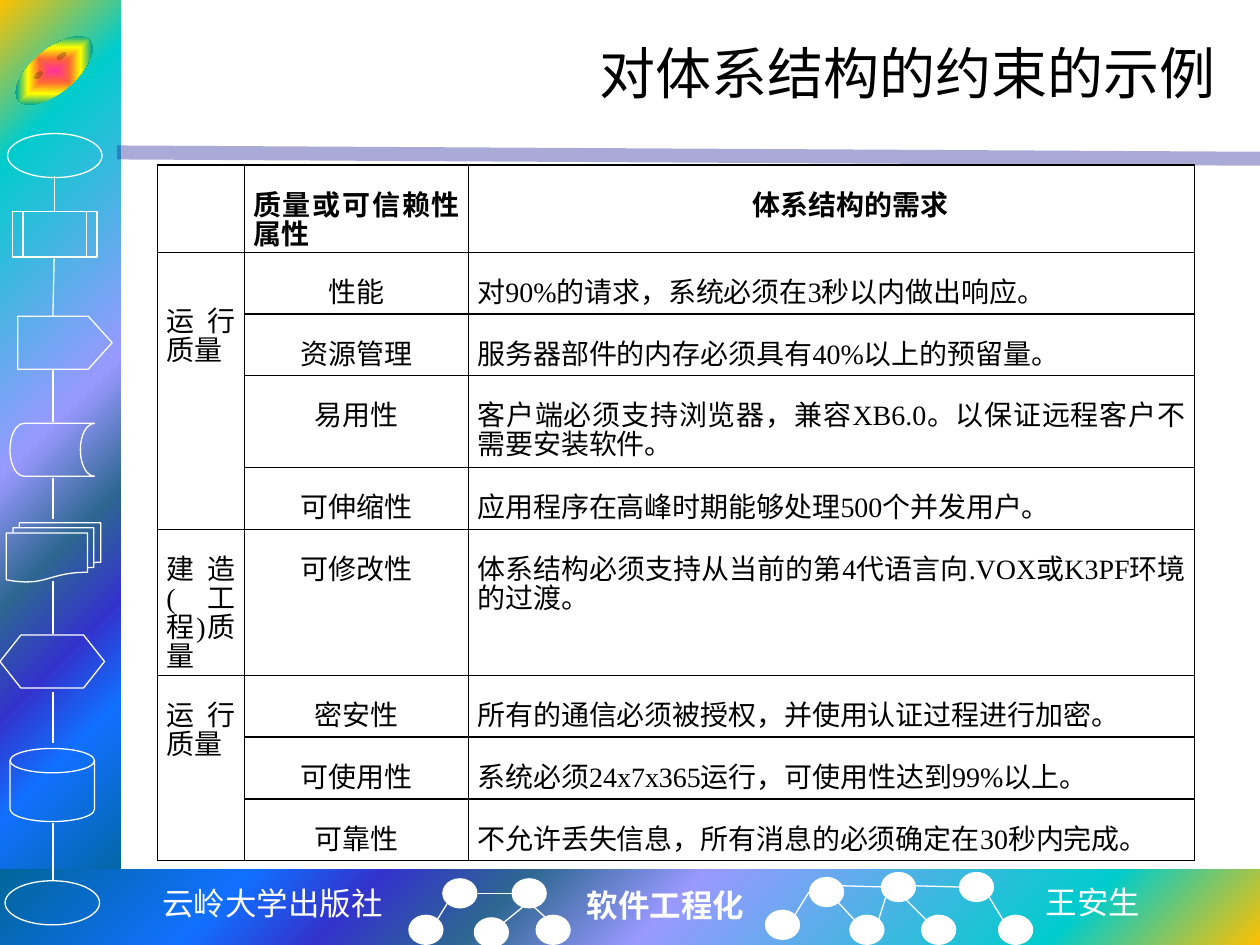
from dataclasses import dataclass
from typing import NamedTuple

from lxml import etree
from pptx import Presentation
from pptx import util as u
from pptx.dml.color import RGBColor
from pptx.enum import shapes, text
from pptx.oxml import parse_xml
from pptx.oxml.ns import nsdecls, qn

KIND = shapes.MSO_SHAPE
ALIGN = text.PP_ALIGN


@dataclass(frozen=True)
class Theme:
    ink: str = "000000"
    white: str = "FFFFFF"
    rule: str = "262699"
    band: tuple = ((0, "FFC000"), (16, "00CCCC"), (47, "9999FF"), (60, "2E6792"),
                   (71, "3333CC"), (81, "1170FF"), (100, "006699"))
    badge: tuple = ((0, "FF3399"), (25, "FF6633"), (50, "FFFF00"),
                    (75, "01A78F"), (100, "3366FF"))
    serif: str = "Times New Roman"
    mono: str = "Courier New"
    sans: str = "Noto Sans CJK SC"
    title_pt: int = 32
    footer_pt: int = 18
    table_pt: int = 16
    leading_pt: float = 16.6
    thin_pt: float = 0.75
    rule_pt: int = 8


class Box(NamedTuple):
    """Columns and rows of a 100 x 75 grid over the slide."""
    x: float
    y: float
    w: float
    h: float


class Link(NamedTuple):
    x1: float
    y1: float
    x2: float
    y2: float


class Label(NamedTuple):
    text: str
    box: Box
    font: str
    bold: bool = False


class Row(NamedTuple):
    group: str
    span: int
    attribute: str
    need: str
    height: float


T = Theme()
COLS, ROWS = 100, 75
prs = Presentation()
prs.slide_width, prs.slide_height = u.Inches(10), u.Inches(7.5)
UNIT_X, UNIT_Y = prs.slide_width / COLS, prs.slide_height / ROWS

FLOW_SHAPES = [
    (KIND.OVAL, Box(0.6, 10.6, 7.5, 3.5)),
    (KIND.FLOWCHART_PREDEFINED_PROCESS, Box(1, 16.8, 6.7, 3.6)),
    (KIND.PENTAGON, Box(1.4, 25.1, 7.5, 4.2)),
    (KIND.FLOWCHART_STORED_DATA, Box(0.8, 33.6, 6.7, 4.2)),
    (KIND.FLOWCHART_MULTIDOCUMENT, Box(0.5, 41.5, 7.5, 4.7)),
    (KIND.FLOWCHART_PREPARATION, Box(0, 50.4, 8.3, 4.2)),
    (KIND.FLOWCHART_MAGNETIC_DISK, Box(0.8, 59.4, 6.7, 5.8)),
    (KIND.OVAL, Box(0.4, 69.9, 7.5, 3.5)),
]
FLOW_LINKS = [
    Link(4.3, 14, 4.3, 16.8), Link(4.3, 20.5, 4.2, 25.1),
    *(Link(4.2, top, 4.2, end) for top, end in
      ((29.3, 33.5), (37.9, 41.2), (46.1, 50.3), (54.9, 59), (65.3, 69.9))),
]
NODES = [(35.1, 69.7), (40.6, 69.7), (32.4, 72.6), (37.6, 72.8), (42.5, 72.6),
         (60.7, 72.2), (64.2, 69.6), (69.9, 69.2), (76.1, 69.2),
         (67.4, 72.6), (73.1, 72.6), (79.2, 72.6)]
NODE_LINKS = [
    Link(34.7, 73, 35.5, 71.7), Link(40, 73.2, 41.6, 71.9),
    Link(40.6, 70.9, 37.9, 70.9), Link(43.4, 72.9, 42.4, 72),
    Link(67.8, 73, 66.5, 71.6), Link(73.5, 73, 71.5, 71),
    Link(79.6, 73, 78.5, 71.2), Link(69.7, 73.1, 70.3, 71.2),
    Link(72.6, 70.3, 76.1, 70.4), Link(63.1, 72.6, 64.2, 70.8),
    Link(66.8, 70.3, 70.3, 70.4),
]
LABELS = [
    Label("云岭大学出版社", Box(11.9, 69.7, 19.7, 4), T.mono),
    Label("软件工程化", Box(45.6, 69.8, 14.6, 4), T.serif, True),
    Label("王安生", Box(82, 69.6, 9.6, 4), T.sans),
]
TABLE_COLS = (6.9, 17.8, 57.6)
HEADER = Row("", 1, "质量或可信赖性属性", "体系结构的需求", 6.9)
BODY = [
    Row("运行质量", 4, "性能", "对90%的请求，系统必须在3秒以内做出响应。", 4.9),
    Row("", 0, "资源管理", "服务器部件的内存必须具有40%以上的预留量。", 4.9),
    Row("", 0, "易用性", "客户端必须支持浏览器，兼容XB6.0。以保证远程客户不需要安装软件。", 7.3),
    Row("", 0, "可伸缩性", "应用程序在高峰时期能够处理500个并发用户。", 4.9),
    Row("建造(工程)质量", 1, "可修改性", "体系结构必须支持从当前的第4代语言向.VOX或K3PF环境的过渡。", 11.6),
    Row("运行质量", 3, "密安性", "所有的通信必须被授权，并使用认证过程进行加密。", 4.9),
    Row("", 0, "可使用性", "系统必须24x7x365运行，可使用性达到99%以上。", 4.9),
    Row("", 0, "可靠性", "不允许丢失信息，所有消息的必须确定在30秒内完成。", 4.9),
]


def place(box: Box) -> tuple:
    return tuple(u.Emu(round(v)) for v in (box.x * UNIT_X, box.y * UNIT_Y,
                                           box.w * UNIT_X, box.h * UNIT_Y))


def style_text(p, font: str, size: float, color: str, bold: bool = False) -> None:
    for r in p.runs:
        f = r.font
        f.name, f.size, f.bold = font, u.Pt(size), bold
        f.color.rgb = RGBColor.from_string(color)
        etree.SubElement(r._r.get_or_add_rPr(), qn("a:ea")).set("typeface", T.sans)


def add_shape(s, kind, box: Box, fill: str = "", line: str = ""):
    sp = s.shapes.add_shape(kind, *place(box))
    sp.shadow.inherit = False
    for color, target in ((fill, sp.fill), (line, sp.line.fill)):
        if color:
            target.solid()
            target.fore_color.rgb = RGBColor.from_string(color)
        else:
            target.background()
    if line:
        sp.line.width = u.Pt(T.thin_pt)
    return sp


def set_gradient(sp, stops: tuple, path: str, focus: tuple) -> None:
    """Path gradient; focus is left, top, right, bottom in percent."""
    gs = "".join(f'<a:gs pos="{pos * 1000}"><a:srgbClr val="{c}"/></a:gs>' for pos, c in stops)
    rect = " ".join(f'{side}="{v * 1000}"' for side, v in zip("ltrb", focus))
    grad = parse_xml(f'<a:gradFill {nsdecls("a")} rotWithShape="1"><a:gsLst>{gs}</a:gsLst>'
                     f'<a:path path="{path}"><a:fillToRect {rect}/></a:path></a:gradFill>')
    props = sp._element.spPr
    props.replace(props.find(qn("a:noFill")), grad)


def add_link(s, link: Link, color: str = T.white, width: float = T.thin_pt):
    x1, y1, x2, y2 = place(Box(*link))
    cx = s.shapes.add_connector(shapes.MSO_CONNECTOR.STRAIGHT, x1, y1, x2, y2)
    cx.line.width = u.Pt(width)
    cx.line.color.rgb = RGBColor.from_string(color)
    etree.SubElement(cx._element.spPr, qn("a:effectLst"))
    return cx


def add_label(s, label: Label) -> None:
    tf = s.shapes.add_textbox(*place(label.box)).text_frame
    tf.word_wrap, tf.auto_size = False, text.MSO_AUTO_SIZE.SHAPE_TO_FIT_TEXT
    tf.text = label.text
    style_text(tf.paragraphs[0], label.font, T.footer_pt, T.white, label.bold)


def fill_cell(cell, words: str, align, bold: bool, lead: int, indent: float) -> None:
    """Write a cell, lead lines below its top edge, with all four borders."""
    cell.fill.background()
    cell.margin_left, cell.margin_right = u.Inches(0.07 + indent), u.Inches(0.07)
    cell.margin_top, cell.margin_bottom = u.Pt(lead * T.leading_pt), 0
    p = cell.text_frame.paragraphs[0]
    p.text, p.alignment, p.line_spacing = words, align, u.Pt(T.leading_pt)
    style_text(p, T.serif, T.table_pt, T.ink, bold)
    for i, side in enumerate("LRTB"):
        cell._tc.get_or_add_tcPr().insert(i, parse_xml(
            f'<a:ln{side} {nsdecls("a")} w="12700"><a:solidFill>'
            f'<a:srgbClr val="{T.ink}"/></a:solidFill></a:ln{side}>'))


def add_needs_table(s, x: float, y: float) -> None:
    rows = [HEADER, *BODY]
    box = Box(x, y, sum(TABLE_COLS), sum(r.height for r in rows))
    table = s.shapes.add_table(len(rows), len(TABLE_COLS), *place(box)).table
    for col, w in zip(table.columns, TABLE_COLS):
        col.width = u.Emu(round(w * UNIT_X))
    for i, row in enumerate(rows):
        head = row is HEADER
        table.rows[i].height = u.Emu(round(row.height * UNIT_Y))
        aligns = (ALIGN.JUSTIFY, *((ALIGN.JUSTIFY, ALIGN.CENTER) if head
                                   else (ALIGN.CENTER, ALIGN.JUSTIFY)))
        for j, words in enumerate((row.group, row.attribute, row.need)):
            lead = 2 if j == 0 and i == 1 else 1
            fill_cell(table.cell(i, j), words, aligns[j], head, lead,
                      0.3 if head and j == 2 else 0)
        if row.span > 1:
            table.cell(i, 0).merge(table.cell(i + row.span - 1, 0))


def add_frame(s) -> None:
    for box, focus in ((Box(0, 0, 9.6, 70.9), (0, 0, 100, 100)),
                       (Box(0, 69, COLS, 6), (100, 100, 0, 0))):
        set_gradient(add_shape(s, KIND.RECTANGLE, box), T.band, "circle", focus)
    rule = add_link(s, Link(9.3, 12.1, COLS, 12.6), T.rule, T.rule_pt)
    color = rule._element.spPr.find(".//" + qn("a:srgbClr"))
    etree.SubElement(color, qn("a:alpha")).set("val", "39000")
    badge = add_shape(s, KIND.SMILEY_FACE, Box(0.6, 3.9, 7.4, 3.4))
    badge.adjustments[0], badge.rotation = 0.05, -40
    set_gradient(badge, T.badge, "shape", (50, 50, 50, 50))


def main() -> None:
    s = prs.slides.add_slide(prs.slide_layouts[5])
    add_frame(s)
    for kind, box in FLOW_SHAPES:
        sp = add_shape(s, kind, box, line=T.white)
        if kind == KIND.PENTAGON:
            sp.adjustments[0] = 0.45
    for x, y in NODES:
        add_shape(s, KIND.OVAL, Box(x, y, 2.8, 2.4), fill=T.white)
    for link in FLOW_LINKS + NODE_LINKS:
        add_link(s, link)
    for label in LABELS:
        add_label(s, label)
    title = s.shapes.title
    title.left, title.top, title.width, title.height = place(Box(12.5, 1.7, 85, 8.1))
    tf = title.text_frame
    tf.text, tf.vertical_anchor = "对体系结构的约束的示例", text.MSO_ANCHOR.MIDDLE
    tf.paragraphs[0].alignment = ALIGN.RIGHT
    style_text(tf.paragraphs[0], T.serif, T.title_pt, T.ink)
    add_needs_table(s, 12.5, 13.1)
    prs.save("out.pptx")


if __name__ == "__main__":
    main()
